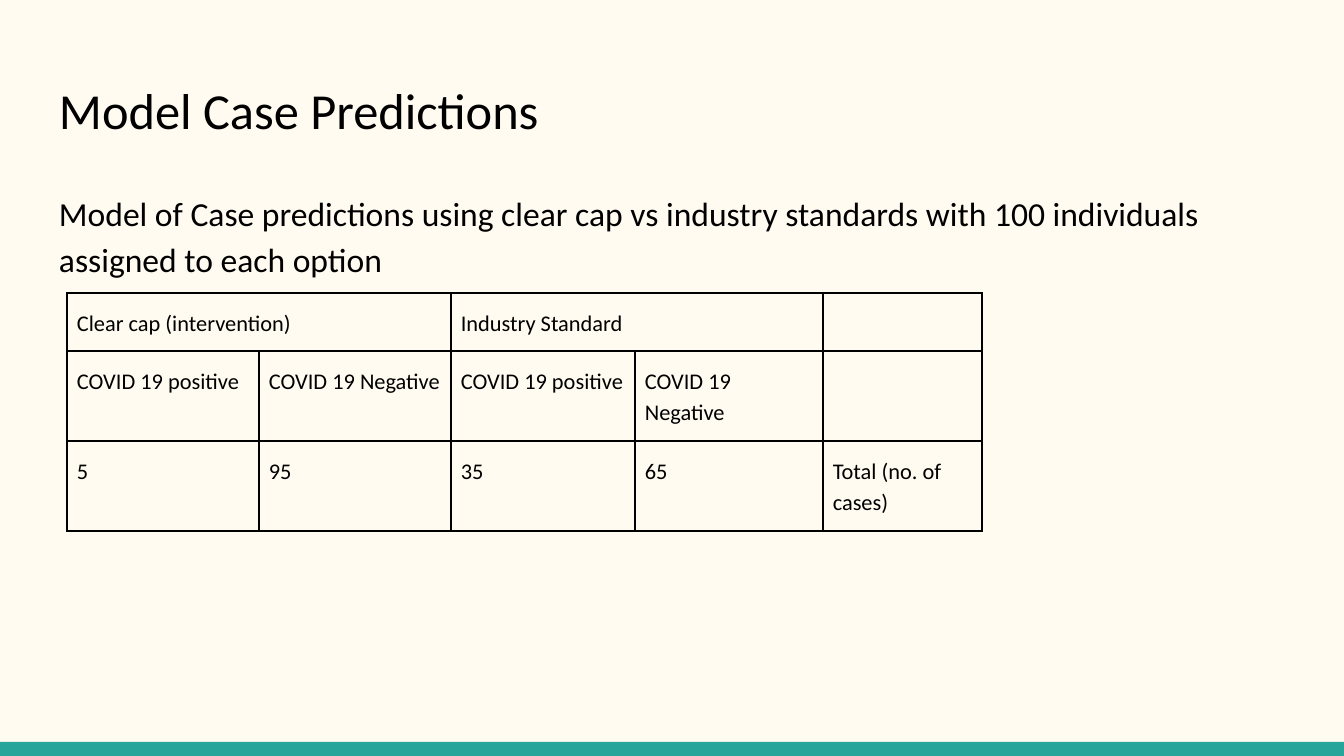
from dataclasses import dataclass

from lxml import etree
from pptx import Presentation
from pptx import util as u
from pptx.dml.color import RGBColor
from pptx.enum import shapes
from pptx.oxml import ns

EMU_PER_PX = 914400 / 134.4
PAGE_WIDTH, PAGE_HEIGHT = 1344, 756


@dataclass(frozen=True)
class Theme:
    font: str = "Calibri"
    background: str = "FFFBF0"
    accent: str = "26A69A"
    ink: str = "000000"
    title_size: int = 27
    body_size: int = 18
    table_size: int = 12
    border_width: int = 1
    line_spacing: float = 1.15


THEME = Theme()

COLUMN_WIDTHS = [192, 192, 184, 188, 159]
ROW_HEIGHTS = [58, 90, 90]
CASES = [
    ["Clear cap (intervention)", "", "Industry Standard", "", ""],
    ["COVID 19 positive", "COVID 19 Negative"] * 2 + [""],
    ["5", "95", "35", "65", "Total (no. of cases)"],
]
HEADER_SPANS = [(0, 1), (2, 3)]


def px(length):
    return u.Emu(round(length * EMU_PER_PX))


def write(frame, content, size, inset_x, inset_y, spacing=None):
    frame.word_wrap = True
    frame.margin_left = frame.margin_right = px(inset_x)
    frame.margin_top = frame.margin_bottom = px(inset_y)
    frame.text = content
    para = frame.paragraphs[0]
    para.line_spacing = spacing
    span = para.runs[0]
    span.font.name = THEME.font
    span.font.size = u.Pt(size)
    span.font.color.rgb = RGBColor.from_string(THEME.ink)


def add_text(page, content, left, top, width, height, size, spacing=None):
    box = page.shapes.add_textbox(px(left), px(top), px(width), px(height))
    write(box.text_frame, content, size, 13, 13, spacing)


def add_footer_bar(page, height):
    bar = page.shapes.add_shape(
        shapes.MSO_SHAPE.RECTANGLE,
        0, px(PAGE_HEIGHT - height), px(PAGE_WIDTH), px(height),
    )
    bar.shadow.inherit = False
    bar.fill.solid()
    bar.fill.fore_color.rgb = RGBColor.from_string(THEME.accent)
    bar.line.fill.background()


def add_borders(cell):
    properties = cell._tc.get_or_add_tcPr()
    for side in ("lnL", "lnR", "lnT", "lnB"):
        line = etree.SubElement(
            properties, ns.qn(f"a:{side}"), w=str(u.Pt(THEME.border_width))
        )
        fill = etree.SubElement(line, ns.qn("a:solidFill"))
        etree.SubElement(fill, ns.qn("a:srgbClr"), val=THEME.ink)


def add_case_table(page, left, top):
    frame = page.shapes.add_table(
        len(ROW_HEIGHTS), len(COLUMN_WIDTHS), px(left), px(top),
        px(sum(COLUMN_WIDTHS)), px(sum(ROW_HEIGHTS)),
    )
    table = frame.table
    table.first_row = table.horz_banding = False
    for column, width in zip(table.columns, COLUMN_WIDTHS):
        column.width = px(width)
    for row, height, contents in zip(table.rows, ROW_HEIGHTS, CASES):
        row.height = px(height)
        for cell, content in zip(row.cells, contents):
            add_borders(cell)
            cell.fill.background()
            if content:
                write(cell.text_frame, content, THEME.table_size, 0, 0,
                      THEME.line_spacing)
                cell.margin_left = cell.margin_right = px(10)
                cell.margin_top = cell.margin_bottom = px(13)
    for first, last in HEADER_SPANS:
        table.cell(0, first).merge(table.cell(0, last))


def main():
    deck = Presentation()
    deck.slide_width, deck.slide_height = px(PAGE_WIDTH), px(PAGE_HEIGHT)
    page = deck.slides.add_slide(deck.slide_layouts[6])
    page.background.fill.solid()
    page.background.fill.fore_color.rgb = RGBColor.from_string(THEME.background)

    add_footer_bar(page, 14)
    add_text(page, "Model Case Predictions", 46, 66, 1252, 90, THEME.title_size)
    add_text(
        page,
        "Model of Case predictions using clear cap vs industry standards "
        "with 100 individuals assigned to each option",
        46, 174, 1252, 452, THEME.body_size, THEME.line_spacing,
    )
    add_case_table(page, 67, 293)
    deck.save("out.pptx")


if __name__ == "__main__":
    main()
